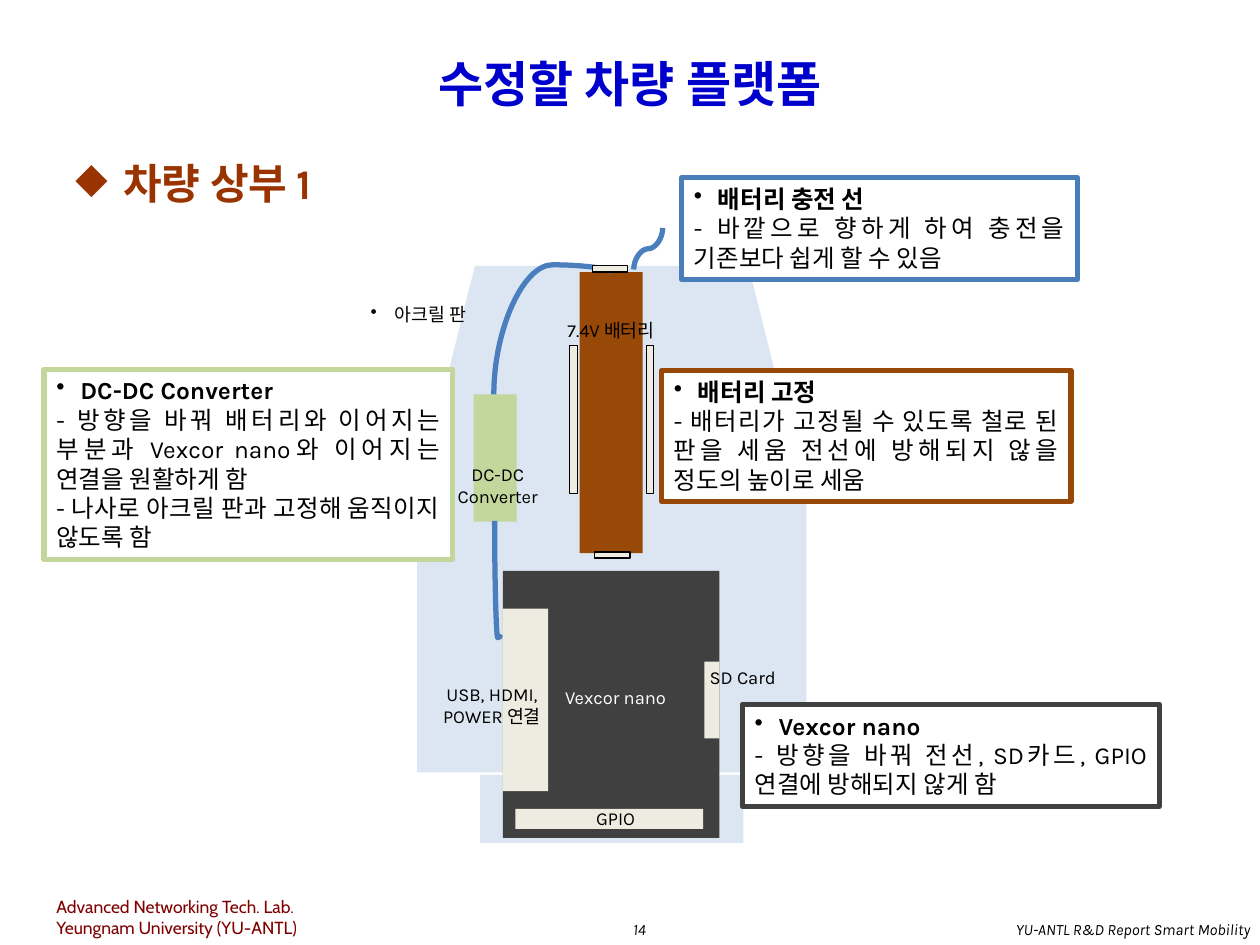
import pptx
import pptx.util
import pptx.dml.color
import pptx.enum.shapes
import pptx.enum.text
import pptx.oxml
import pptx.oxml.ns

Inches, Pt = pptx.util.Inches, pptx.util.Pt
RGBColor = pptx.dml.color.RGBColor
SHAPE = pptx.enum.shapes.MSO_SHAPE
ALIGN = pptx.enum.text.PP_ALIGN
ANCHOR = pptx.enum.text.MSO_ANCHOR
qn = pptx.oxml.ns.qn

BLACK = RGBColor(0x00, 0x00, 0x00)
WHITE = RGBColor(0xFF, 0xFF, 0xFF)
TITLE_BLUE = RGBColor(0x00, 0x00, 0xCC)
HEADING_RED = RGBColor(0x99, 0x33, 0x00)
LAB_RED = RGBColor(0x80, 0x00, 0x00)
ACRYLIC = RGBColor(0xDC, 0xE6, 0xF2)
BATTERY = RGBColor(0x98, 0x48, 0x07)
BOARD = RGBColor(0x40, 0x40, 0x40)
CONVERTER = RGBColor(0xC3, 0xD6, 0x9B)
PORT = RGBColor(0xEE, 0xEC, 0xE1)
CABLE = RGBColor(0x4B, 0x7E, 0xBC)
CHARGE_BLUE = RGBColor(0x4A, 0x7E, 0xBB)

# Vehicle parts, back to front: preset, (left, top, width, height), fill
VEHICLE = [
    (SHAPE.RECTANGLE, (3.31, 3.93, 3.09, 2.2), ACRYLIC),
    (SHAPE.TRAPEZOID, (3.31, 2.11, 3.09, 1.84), ACRYLIC),
    (SHAPE.RECTANGLE, (3.81, 6.15, 2.09, 0.54), ACRYLIC),
    (SHAPE.RECTANGLE, (4.6, 2.16, 0.5, 2.23), BATTERY),
    (SHAPE.RECTANGLE, (3.99, 4.53, 1.72, 2.12), BOARD),
    (SHAPE.RECTANGLE, (3.76, 3.13, 0.34, 1.01), CONVERTER),
]
BOARD_PORTS = [(4.09, 6.42, 1.49, 0.16), (5.59, 5.25, 0.12, 0.61), (3.99, 4.83, 0.36, 1.45)]
# Iron plates holding the battery: box, outline width
BATTERY_PLATES = [
    ((4.52, 2.74, 0.06, 1.18), 0.5),
    ((5.13, 2.74, 0.06, 1.18), 0.5),
    ((4.72, 4.38, 0.28, 0.05), 0.75),
    ((4.7, 2.11, 0.28, 0.05), 0.75),
]
# Cables: box before rotation, rotation, flipped sideways, flipped upright, bend
CABLES = [
    ((3.9, 2.18, 0.97, 0.93), 270, True, True, -0.06),
    ((4.98, 1.86, 0.33, 0.23), 90, True, True, 0.5),
    ((3.5, 4.56, 0.9, 0.05), 270, True, False, 1.03),
]
# Callouts: box, outline, heading, notes
CALLOUTS = [
    ((5.41, 1.41, 3.14, 0.81), CHARGE_BLUE, "배터리 충전 선",
     ["- 바깥으로 향하게 하여 충전을 기존보다 쉽게 할 수 있음"]),
    ((0.35, 2.93, 3.24, 1.51), CONVERTER, "DC-DC Converter",
     ["- 방향을 바꿔 배터리와 이어지는 부분과 Vexcor nano와 이어지는 연결을 원활하게 함",
      "- 나사로 아크릴 판과 고정해 움직이지 않도록 함"]),
    ((5.25, 2.94, 3.25, 1.04), BATTERY, "배터리 고정",
     ["- 배터리가 고정될 수 있도록 철로 된 판을 세움 전선에 방해되지 않을 정도의 높이로 세움"]),
    ((5.89, 5.59, 3.31, 0.81), BOARD, "Vexcor nano",
     ["- 방향을 바꿔 전선, SD카드, GPIO 연결에 방해되지 않게 함"]),
]
# Part labels: box, text, colour, bullet
LABELS = [
    ((4.23, 2.48, 1.24, 0.28), "7.4V 배터리", BLACK, None),
    ((3.44, 3.63, 1.02, 0.45), "DC-DC Converter", BLACK, None),
    ((4.27, 5.4, 1.23, 0.28), "Vexcor nano", WHITE, None),
    ((3.21, 5.37, 1.39, 0.45), "USB, HDMI, POWER 연결", BLACK, None),
    ((4.19, 6.36, 1.39, 0.28), "GPIO", BLACK, None),
    ((5.2, 5.24, 1.39, 0.28), "SD Card", BLACK, None),
    ((2.66, 2.36, 1.32, 0.28), "아크릴 판", BLACK, "•"),
]


def add_part(slide, box, fill, outline=None, width=0, preset=SHAPE.RECTANGLE):
    part = slide.shapes.add_shape(preset, *map(Inches, box))
    part.shadow.inherit = False
    part.fill.solid()
    part.fill.fore_color.rgb = fill
    if outline is None:
        part.line.fill.background()
    else:
        part.line.color.rgb = outline
        part.line.width = Pt(width)
    return part


def write(frame, lines, size, color, align=ALIGN.LEFT, anchor=ANCHOR.TOP,
          font="Karla", italic=False, indent=0.19, wrap=True):
    """Fill a frame with lines given as (text, bold, bullet)."""
    frame.word_wrap = wrap
    frame.vertical_anchor = anchor
    for number, (text, bold, bullet) in enumerate(lines):
        paragraph = frame.add_paragraph() if number else frame.paragraphs[0]
        paragraph.alignment = align
        if bullet:
            properties = paragraph._p.get_or_add_pPr()
            properties.set("marL", str(Inches(indent)))
            properties.set("indent", str(-Inches(indent)))
            mark = pptx.oxml.parse_xml(
                f'<a:buChar {pptx.oxml.ns.nsdecls("a")} char="{bullet}"/>')
            properties.append(mark)
        run = paragraph.add_run()
        run.text = text
        run.font.name = font
        run.font.size = Pt(size)
        run.font.bold = bold
        run.font.italic = italic
        run.font.color.rgb = color


def add_text(slide, box, lines, size, color, **style):
    write(slide.shapes.add_textbox(*map(Inches, box)).text_frame, lines, size, color, **style)


def add_cable(slide, box, rotation, flip_h, flip_v, bend):
    left, top, width, height = box
    xs, ys = (left, left + width), (top, top + height)
    cable = slide.shapes.add_connector(
        pptx.enum.shapes.MSO_CONNECTOR.CURVE,
        Inches(xs[flip_h]), Inches(ys[flip_v]),
        Inches(xs[not flip_h]), Inches(ys[not flip_v]))
    cable.line.color.rgb = CABLE
    cable.line.width = Pt(3)
    properties = cable._element.spPr
    properties.find(qn("a:xfrm")).set("rot", str(rotation * 60000))
    geometry = properties.find(qn("a:prstGeom"))
    guides = geometry.find(qn("a:avLst"))
    if guides is None:
        guides = pptx.oxml.ns.qn and geometry.makeelement(qn("a:avLst"), {})
        geometry.append(guides)
    guides.append(guides.makeelement(
        qn("a:gd"), {"name": "adj1", "fmla": f"val {round(bend * 100000)}"}))
    properties.append(properties.makeelement(qn("a:effectLst"), {}))


def main():
    deck = pptx.Presentation()
    deck.slide_width, deck.slide_height = Inches(10), Inches(7.5)
    slide = deck.slides.add_slide(deck.slide_layouts[6])

    add_text(slide, (0.35, 7.06, 2.14, 0.44),
             [("Advanced Networking Tech. Lab.", False, None),
              ("Yeungnam University (YU-ANTL)", False, None)],
             10, LAB_RED, font="Cabin")
    add_text(slide, (4.88, 7.25, 0.39, 0.25), [("14", False, None)], 9, BLACK,
             align=ALIGN.CENTER, italic=True, wrap=False)
    add_text(slide, (6.59, 7.25, 3.43, 0.25),
             [("YU-ANTL R&D Report Smart Mobility", False, None)], 9, BLACK,
             align=ALIGN.RIGHT, italic=True)
    add_text(slide, (0.5, 0.3, 9, 0.72), [("수정할 차량 플랫폼", True, None)], 28, TITLE_BLUE,
             align=ALIGN.CENTER, anchor=ANCHOR.MIDDLE)
    add_text(slide, (0.5, 1.2, 9, 5.49), [("차량 상부 1", True, "◆")], 24, HEADING_RED,
             indent=0.38)

    for preset, box, fill in VEHICLE:
        add_part(slide, box, fill, preset=preset)
    for cable in CABLES:
        add_cable(slide, *cable)
    for box, width in BATTERY_PLATES:
        add_part(slide, box, PORT, BLACK, width)
    for box in BOARD_PORTS:
        add_part(slide, box, PORT)
    for box, outline, heading, notes in CALLOUTS:
        callout = add_part(slide, box, WHITE, outline, 3)
        lines = [(heading, True, "•")] + [(note, False, None) for note in notes]
        write(callout.text_frame, lines, 14, BLACK, align=ALIGN.JUSTIFY)
    for box, text, color, bullet in LABELS:
        add_text(slide, box, [(text, False, bullet)], 10.5, color, align=ALIGN.CENTER)

    deck.save("out.pptx")


if __name__ == "__main__":
    main()
